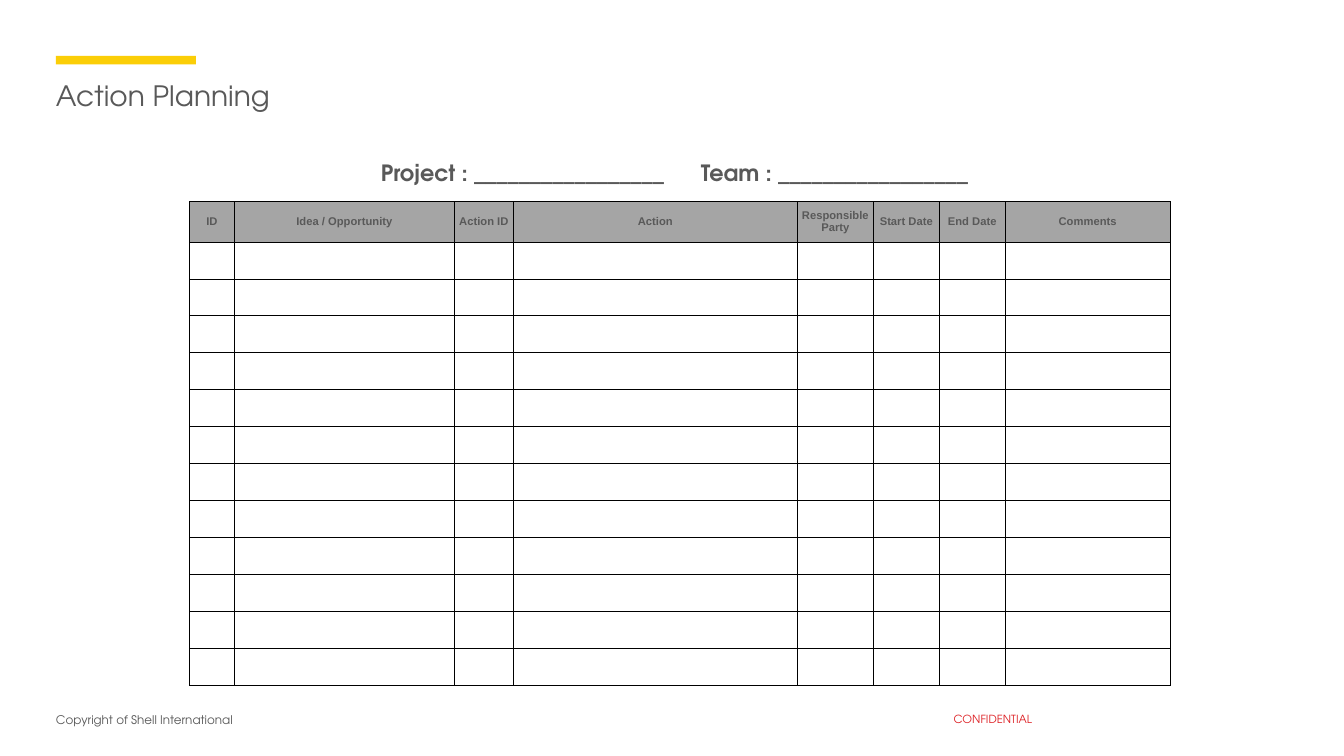
import pptx
import pptx.dml.color
import pptx.enum.shapes
import pptx.enum.text
import pptx.oxml.ns
import pptx.util
import lxml.etree

Pt = pptx.util.Pt
RGB = pptx.dml.color.RGBColor
ALIGN = pptx.enum.text.PP_ALIGN
ANCHOR = pptx.enum.text.MSO_ANCHOR
qn = pptx.oxml.ns.qn

GREY = RGB(0x59, 0x59, 0x59)
YELLOW = RGB(0xFB, 0xCE, 0x07)
RED = RGB(0xDD, 0x1D, 0x21)
SILVER = RGB(0xA5, 0xA5, 0xA5)
BLACK = RGB(0x00, 0x00, 0x00)
SANS = "TeX Gyre Adventor"


def write(frame, text, size, font=SANS, color=GREY, bold=False,
          align=ALIGN.LEFT, wrap=True, left=0, low=0, tab=None):
    frame.word_wrap = wrap
    frame.auto_size = pptx.enum.text.MSO_AUTO_SIZE.NONE
    frame.vertical_anchor = ANCHOR.TOP
    frame.margin_left, frame.margin_bottom = Pt(left), Pt(low)
    frame.margin_top = frame.margin_right = 0
    para = frame.paragraphs[0]
    para.alignment = align
    if tab:
        stops = lxml.etree.SubElement(para._p.get_or_add_pPr(), qn("a:tabLst"))
        lxml.etree.SubElement(stops, qn("a:tab"), pos=str(Pt(tab)), algn="l")
    run = para.add_run()
    run.text = text
    run.font.name, run.font.size = font, Pt(size)
    run.font.bold, run.font.color.rgb = bold, color
    return para


deck = pptx.Presentation()
deck.slide_width, deck.slide_height = Pt(960), Pt(540)
slide = deck.slides.add_slide(deck.slide_layouts[5])
shapes = slide.shapes

# Accent bar
bar = shapes.add_shape(pptx.enum.shapes.MSO_SHAPE.RECTANGLE,
                       Pt(40), Pt(40), Pt(100), Pt(6))
bar.shadow.inherit = False
bar.fill.solid()
bar.fill.fore_color.rgb = YELLOW
bar.line.fill.background()

# Footer
notice = shapes.add_textbox(Pt(40), Pt(509), Pt(264), Pt(18.7))
write(notice.text_frame, "Copyright of Shell International", 8.5,
      wrap=False, low=3.6)
label = shapes.add_textbox(Pt(666.7), Pt(509), Pt(85), Pt(13.7))
write(label.text_frame, "CONFIDENTIAL", 8, color=RED, align=ALIGN.CENTER, low=3.6)

# Title
title = shapes.title
title.left, title.top, title.width, title.height = Pt(40), Pt(56), Pt(880), Pt(59)
write(title.text_frame, "Action Planning", 20)

# Project and team line
heading = shapes.add_textbox(Pt(172), Pt(111), Pt(620), Pt(33))
blank = "_" * 17
para = write(heading.text_frame, f"Project : {blank}\tTeam : {blank}", 16,
             bold=True, left=100, tab=228.6)
para.line_spacing = 1.13
para.space_after = Pt(0.6)

# Action table
heads = ["ID", "Idea / Opportunity", "Action ID", "Action",
         "Responsible Party", "Start Date", "End Date", "Comments"]
widths = [32.1, 157.1, 42.1, 202.9, 54.3, 47.1, 47.1, 117.9]
heights = [28.8] + [26.4] * 12
table = shapes.add_table(len(heights), len(heads), Pt(135.4), Pt(144),
                         Pt(sum(widths)), Pt(sum(heights))).table
table.first_row = table.horz_banding = False
for col, width in zip(table.columns, widths):
    col.width = Pt(width)
for row, height in zip(table.rows, heights):
    row.height = Pt(height)

for cell in table.iter_cells():
    cell.margin_left = cell.margin_right = 0
    cell.margin_top = cell.margin_bottom = 0
    cell.vertical_anchor = ANCHOR.MIDDLE
    for side in ("a:lnL", "a:lnR", "a:lnT", "a:lnB"):
        edge = lxml.etree.SubElement(cell._tc.get_or_add_tcPr(), qn(side),
                                     w=str(Pt(0.5)))
        fill = lxml.etree.SubElement(edge, qn("a:solidFill"))
        lxml.etree.SubElement(fill, qn("a:srgbClr"), val=str(BLACK))
    cell.fill.background()

# Table head
for cell, head in zip(table.rows[0].cells, heads):
    cell.fill.solid()
    cell.fill.fore_color.rgb = SILVER
    para = cell.text_frame.paragraphs[0]
    para.alignment = ALIGN.CENTER
    run = para.add_run()
    run.text = head
    run.font.name, run.font.size = "Arial", Pt(8)
    run.font.bold, run.font.color.rgb = True, GREY

deck.save("out.pptx")
